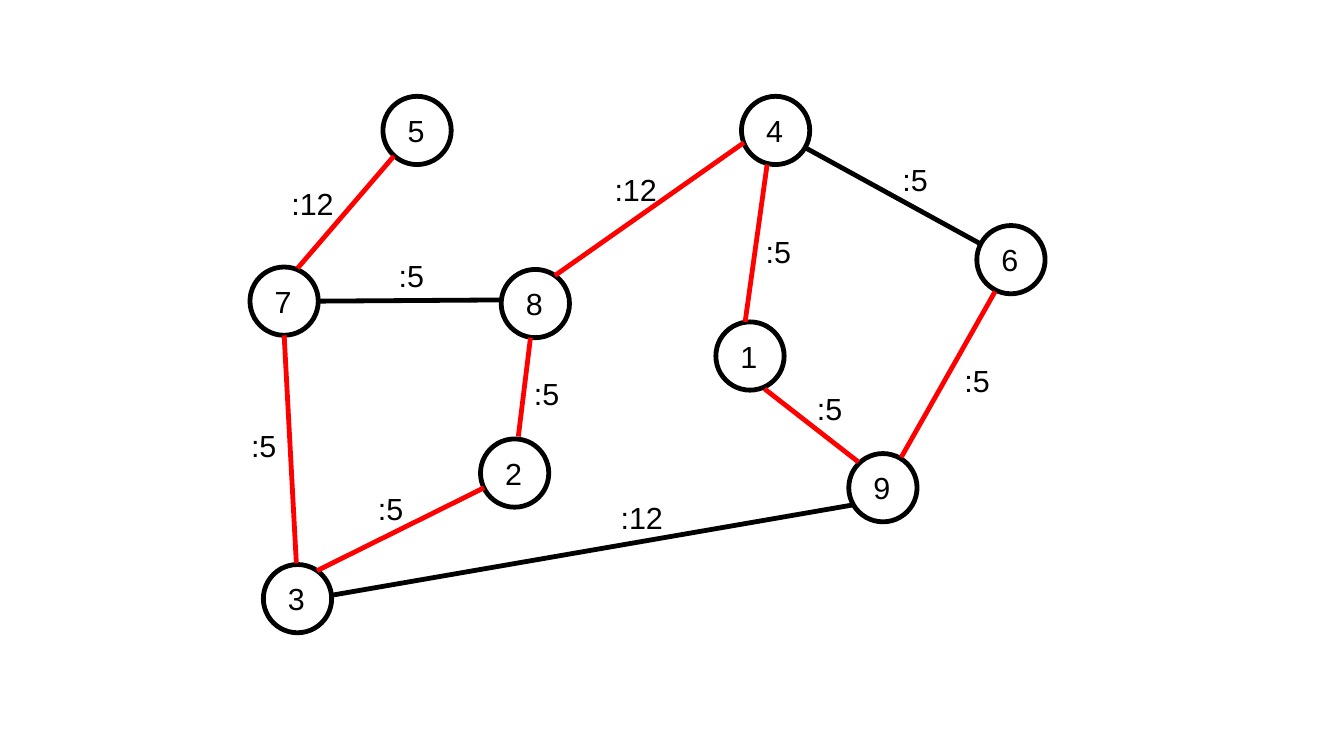
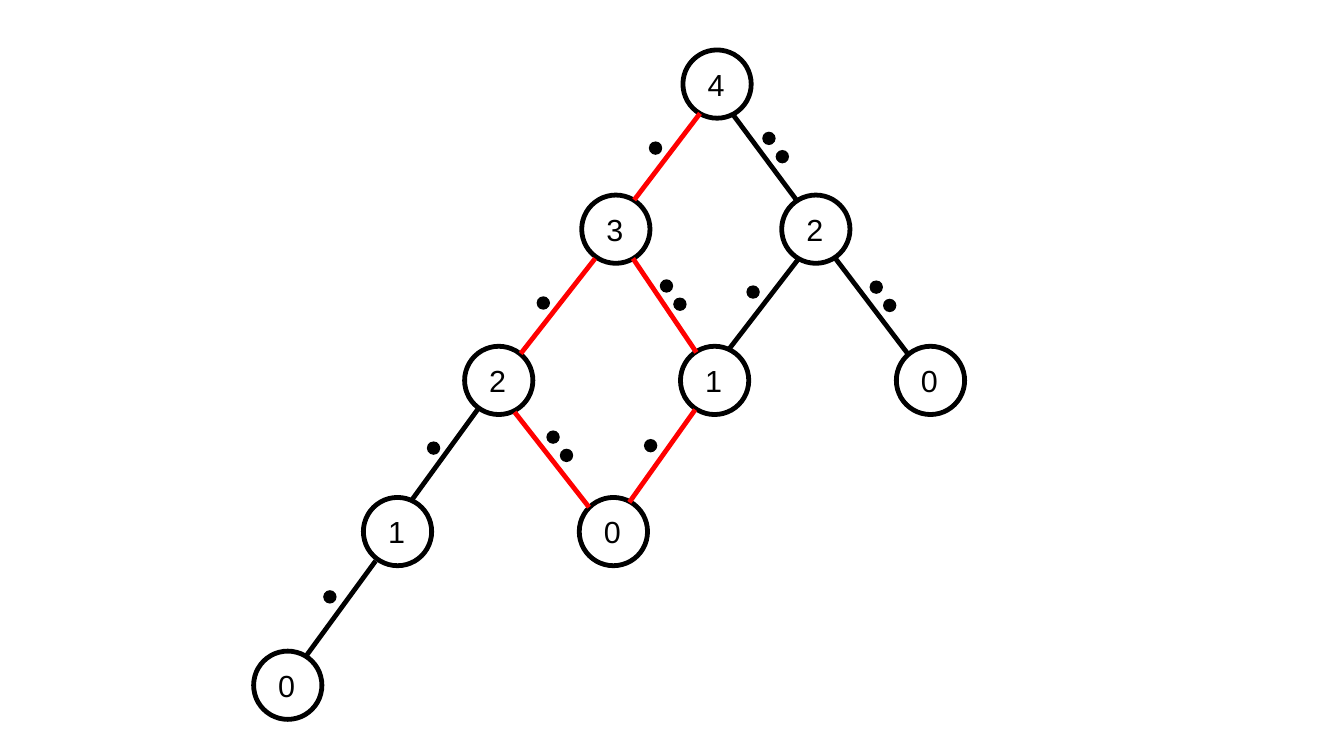
from dataclasses import dataclass

from lxml.etree import SubElement
from pptx import Presentation
from pptx.dml.color import RGBColor
from pptx.enum.shapes import MSO_CONNECTOR as Connector, MSO_SHAPE as Shape
from pptx.enum.text import MSO_ANCHOR as Anchor, PP_ALIGN as Align
from pptx.oxml.ns import qn
from pptx.util import Inches, Pt

COLORS = {"ink": "000000", "path": "FF0000", "page": "FFFFFF"}
FONT = "Arial"
FONT_SIZE = Pt(18)
LINE_WIDTH = Pt(2.83)
NODE_SIZE = 0.56
DOT_SIZE = 0.11
DOT_STEP = (0.11, 0.15)
LABEL_SIZE = (0.55, 0.38)


@dataclass
class Box:
    left: float
    top: float
    width: float
    height: float

    def place(self, x, y):
        return Inches(self.left + x), Inches(self.top + y)


PAGE = Box(0, 0, 11.02, 6.2)

NETWORK_NODES = [
    ("1", 5.87, 2.64), ("5", 3.14, 0.79), ("2", 3.94, 3.6),
    ("6", 8.01, 1.85), ("7", 2.05, 2.19), ("9", 6.96, 3.72),
    ("8", 4.11, 2.21), ("3", 2.16, 4.63), ("4", 6.08, 0.79),
]
NETWORK_EDGES = [
    ("path", (6.11, 2.64), (6.29, 1.35)),
    ("path", (6.27, 3.19), (7.04, 3.79)),
    ("ink", (6.6, 1.21), (8.04, 2)),
    ("path", (6.1, 1.17), (4.55, 2.26)),
    ("path", (7.39, 3.75), (8.16, 2.39)),
    ("ink", (2.73, 4.88), (7, 4.14)),
    ("path", (4.35, 2.77), (4.25, 3.58)),
    ("path", (2.6, 4.68), (3.97, 4)),
    ("ink", (4.11, 2.46), (2.62, 2.47)),
    ("path", (3.23, 1.28), (2.44, 2.2)),
    ("path", (2.33, 2.75), (2.43, 4.62)),
]
NETWORK_LABELS = [
    (":12", 2.29, 1.47), (":12", 4.94, 1.35), (":5", 3.17, 2.06),
    (":5", 1.96, 3.45), (":5", 4.28, 3.03), (":5", 3, 3.97),
    (":5", 6.18, 1.86), (":5", 7.3, 1.27), (":5", 7.81, 2.92),
    (":5", 6.6, 3.15), (":12", 4.99, 4.04),
]

STEP_NODES = [
    ("4", 5.6, 0.41), ("3", 4.77, 1.6), ("2", 6.41, 1.6),
    ("2", 3.81, 2.84), ("1", 5.58, 2.84), ("0", 7.35, 2.84),
    ("1", 2.98, 4.08), ("0", 4.75, 4.08), ("0", 2.08, 5.34),
]
STEP_EDGES = [
    ("path", (5.74, 0.93), (5.2, 1.64)),
    ("ink", (6.01, 0.94), (6.53, 1.64)),
    ("path", (4.88, 2.12), (4.27, 2.9)),
    ("ink", (3.93, 3.34), (3.37, 4.11)),
    ("ink", (3.08, 4.6), (2.51, 5.38)),
    ("path", (5.19, 2.12), (5.71, 2.89)),
    ("ink", (6.85, 2.12), (7.45, 2.91)),
    ("ink", (6.55, 2.12), (5.98, 2.86)),
    ("path", (4.22, 3.38), (4.83, 4.16)),
    ("path", (5.7, 3.36), (5.16, 4.12)),
]
STEP_DOTS = [
    (1, 5.32, 1.16), (2, 6.25, 1.08), (2, 7.13, 2.3),
    (2, 5.41, 2.29), (2, 4.48, 3.53), (1, 4.4, 2.43),
    (1, 6.12, 2.34), (1, 5.28, 3.6), (1, 3.5, 3.62),
    (1, 2.65, 4.84),
]


def color(name):
    return RGBColor.from_string(COLORS[name])


def write(frame, text, inset_x, inset_y):
    frame.word_wrap = True
    frame.margin_left = frame.margin_right = Inches(inset_x)
    frame.margin_top = frame.margin_bottom = Inches(inset_y)
    para = frame.paragraphs[0]
    para.alignment = Align.LEFT
    span = para.add_run()
    span.text = text
    span.font.name = FONT
    span.font.size = FONT_SIZE
    span.font.color.rgb = color("ink")


def add_circle(page, box, x, y, size):
    circle = page.shapes.add_shape(
        Shape.OVAL, *box.place(x, y), Inches(size), Inches(size))
    circle.shadow.inherit = False
    return circle


def add_node(page, box, text, x, y):
    node = add_circle(page, box, x, y, NODE_SIZE)
    node.fill.background()
    node.line.color.rgb = color("ink")
    node.line.width = LINE_WIDTH
    node.text_frame.vertical_anchor = Anchor.MIDDLE
    write(node.text_frame, text, 0.12, 0.07)


def add_edge(page, box, color_name, start, end):
    edge = page.shapes.add_connector(
        Connector.STRAIGHT, *box.place(*start), *box.place(*end))
    edge.line.color.rgb = color(color_name)
    edge.line.width = LINE_WIDTH
    SubElement(edge._element.spPr, qn("a:effectLst"))


def add_label(page, box, text, x, y):
    width, height = LABEL_SIZE
    label = page.shapes.add_textbox(
        *box.place(x, y), Inches(width), Inches(height))
    write(label.text_frame, text, 0.1, 0.05)


def add_dots(page, box, count, x, y):
    step_x, step_y = DOT_STEP
    for index in range(count):
        dot = add_circle(
            page, box, x + index * step_x, y + index * step_y, DOT_SIZE)
        dot.fill.solid()
        dot.fill.fore_color.rgb = color("ink")
        dot.line.fill.background()


def draw_graph(page, box, nodes, edges):
    for node in nodes:
        add_node(page, box, *node)
    for edge in edges:
        add_edge(page, box, *edge)


def draw_network(page, box):
    draw_graph(page, box, NETWORK_NODES, NETWORK_EDGES)
    for label in NETWORK_LABELS:
        add_label(page, box, *label)


def draw_steps(page, box):
    draw_graph(page, box, STEP_NODES, STEP_EDGES)
    for dots in STEP_DOTS:
        add_dots(page, box, *dots)


def main():
    deck = Presentation()
    deck.slide_width = Inches(PAGE.width)
    deck.slide_height = Inches(PAGE.height)
    background = deck.slide_master.background.fill
    background.solid()
    background.fore_color.rgb = color("page")
    blank = deck.slide_layouts[6]
    for draw in (draw_network, draw_steps):
        draw(deck.slides.add_slide(blank), PAGE)
    deck.save("out.pptx")


if __name__ == "__main__":
    main()
